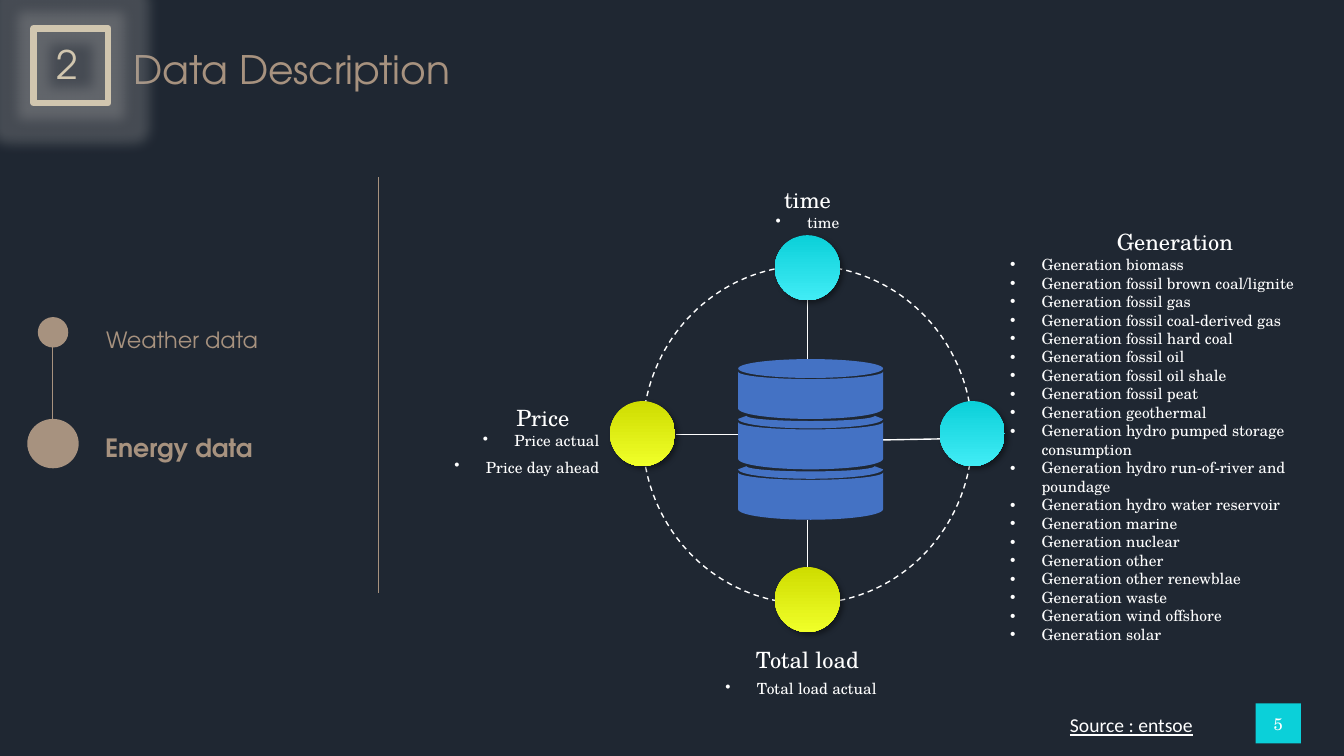
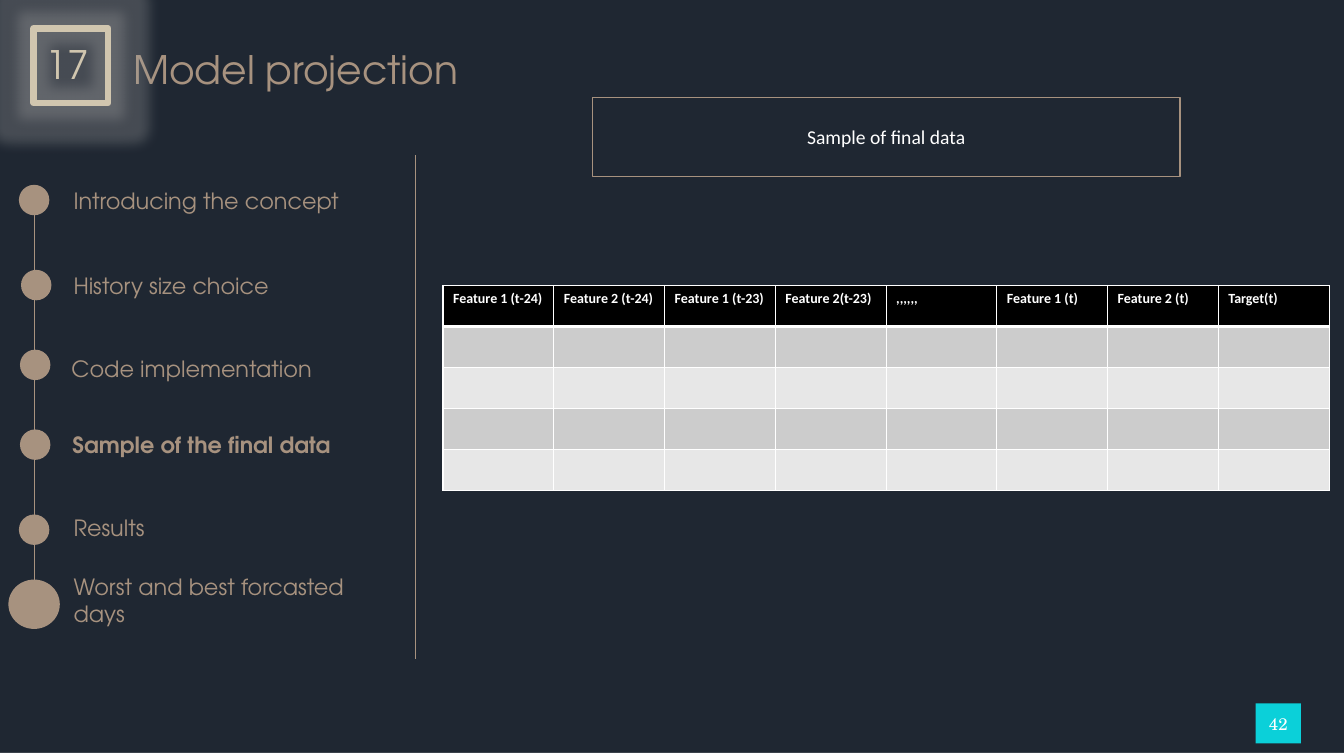
from dataclasses import dataclass
from math import cos, pi, sin
from typing import NamedTuple

from pptx import Presentation
from pptx import util as u
from pptx.dml.color import RGBColor
from pptx.enum import dml, shapes, text
from pptx.oxml import ns, parse_xml

PX = 9525
NAVY, TAN, SAND, WHITE = "1F2732", "A7927F", "D1C6AF", "FFFFFF"
CYAN, CYAN_LIGHT, LIME, LIME_LIGHT = "0BD0D9", "41ECF5", "CEDC00", "F0FF29"
BLUE, BLACK, GREY, GREY_LIGHT = "4472C4", "000000", "CCCCCC", "E7E7E7"
DISPLAY, SERIF, SANS = "TeX Gyre Adventor", "TeX Gyre Schola", "Calibri"
LEFT, CENTER, RIGHT = text.PP_ALIGN.LEFT, text.PP_ALIGN.CENTER, text.PP_ALIGN.RIGHT
TOP, MIDDLE = text.MSO_ANCHOR.TOP, text.MSO_ANCHOR.MIDDLE
RECT, OVAL = shapes.MSO_SHAPE.RECTANGLE, shapes.MSO_SHAPE.OVAL
BULLET_INDENT = 30
SMALL_DOT = (29, 29)
BIG_DOT = (49, 47)
XMLNS = ns.nsdecls("a")
SHADOW = (f'<a:outerShdw {XMLNS} blurRad="50800" dist="38100" dir="2700000">'
          '<a:srgbClr val="000000"><a:alpha val="40000"/></a:srgbClr></a:outerShdw>')
GLOW = (f'<a:glow {XMLNS} rad="228600">'
        '<a:srgbClr val="A5A5A5"><a:alpha val="30000"/></a:srgbClr></a:glow>')


class Box(NamedTuple):
    x: int
    y: int
    w: int
    h: int

    def emu(self) -> list[int]:
        return [px(v) for v in self]


class Style(NamedTuple):
    font: str
    size: int
    color: str
    bold: bool = False
    underline: bool = False


@dataclass
class Step:
    label: str
    x: int
    y: int
    dot: Box
    size: int = 16
    bold: bool = False


@dataclass
class Group:
    """A heading with its bulleted items."""
    heading: str
    heading_box: Box
    items: list[str]
    items_box: Box
    align: text.PP_ALIGN = CENTER


TITLE = Style(DISPLAY, 28, TAN)
NUMBER = Style(DISPLAY, 28, SAND)
HEADING = Style(SERIF, 16, WHITE)
ITEM = Style(SERIF, 11, WHITE)
PAGE = Style(SERIF, 12, WHITE)
CAPTION = Style(SANS, 14, WHITE)
SOURCE = Style(SANS, 14, WHITE, underline=True)
TABLE_HEAD = Style(SANS, 10, WHITE, bold=True)

GENERATION = Group("Generation", Box(962, 217, 314, 26), [
    "Generation " + kind for kind in (
        "biomass", "fossil brown coal/lignite", "fossil gas", "fossil coal-derived gas",
        "fossil hard coal", "fossil oil", "fossil oil shale", "fossil peat", "geothermal",
        "hydro pumped storage consumption", "hydro run-of-river and poundage",
        "hydro water reservoir", "marine", "nuclear", "other", "other renewblae",
        "waste", "wind offshore", "solar")], Box(962, 243, 314, 370), LEFT)
GROUPS = [
    Group("time", Box(612, 177, 314, 26), ["time"], Box(612, 203, 314, 18)),
    Group("Price", Box(360, 385, 314, 26), ["Price actual", "Price day ahead"],
          Box(360, 411, 211, 42), RIGHT),
    Group("Total load", Box(612, 615, 314, 26), ["Total load actual"],
          Box(606, 647, 314, 18)),
]
DATA_STEPS = [
    Step("Weather data", 91, 306, Box(36, 302, *SMALL_DOT)),
    Step("Energy data", 90, 407, Box(26, 399, *BIG_DOT), 18, True),
]
MODEL_STEPS = [
    Step("Introducing the concept", 60, 173, Box(18, 176, *SMALL_DOT)),
    Step("History size choice", 60, 254, Box(20, 257, *SMALL_DOT)),
    Step("Code implementation", 58, 333, Box(19, 333, *SMALL_DOT)),
    Step("Sample of the final data", 59, 406, Box(19, 409, *SMALL_DOT), bold=True),
    Step("Results", 60, 485, Box(18, 490, *SMALL_DOT)),
    Step("Worst and best forcasted days", 60, 541, Box(8, 552, *BIG_DOT)),
]
COLUMNS = ["Feature 1 (t-24)", "Feature 2 (t-24)", "Feature 1 (t-23)", "Feature 2(t-23)",
           ",,,,,,", "Feature 1 (t)", "Feature 2 (t)", "Target(t)"]


def px(value: float) -> int:
    return round(value * PX)


def rgb(color: str) -> RGBColor:
    return RGBColor.from_string(color)


def fill(obj, color: str) -> None:
    obj.fill.solid()
    obj.fill.fore_color.rgb = rgb(color)


def add_run(p, line: str, style: Style) -> None:
    r = p.add_run()
    r.text = line
    font = {"name": style.font, "size": u.Pt(style.size), "bold": style.bold,
            "underline": style.underline}
    for name, value in font.items():
        setattr(r.font, name, value)
    r.font.color.rgb = rgb(style.color)


def write(tf, lines: list[str], style: Style, align=LEFT, anchor=TOP,
          margins=(10, 5), bullets=False, gap: float = 0) -> None:
    side, edge = margins
    frame = {"word_wrap": True, "auto_size": text.MSO_AUTO_SIZE.NONE,
             "vertical_anchor": anchor, "margin_left": px(side), "margin_right": px(side),
             "margin_top": px(edge), "margin_bottom": px(edge)}
    for name, value in frame.items():
        setattr(tf, name, value)
    for i, line in enumerate(lines):
        p = tf.add_paragraph() if i else tf.paragraphs[0]
        if bullets:
            pPr = p._p.get_or_add_pPr()
            pPr.set("marL", str(px(BULLET_INDENT)))
            pPr.set("indent", str(-px(BULLET_INDENT)))
            pPr.append(parse_xml(f'<a:buChar {XMLNS} char="•"/>'))
        p.alignment = align
        p.space_before = u.Pt(gap if i else 0)
        add_run(p, line, style)


def add_text(s, box: Box, lines: list[str], style: Style, **layout) -> None:
    write(s.shapes.add_textbox(*box.emu()).text_frame, lines, style, **layout)


def add_shape(s, kind, box: Box, color: str = "", line: str = "", width: float = 1,
              effect: str = ""):
    sp = s.shapes.add_shape(kind, *box.emu())
    sp.shadow.inherit = False
    if color:
        fill(sp, color)
    else:
        sp.fill.background()
    if line:
        sp.line.color.rgb = rgb(line)
        sp.line.width = u.Pt(width)
    else:
        sp.line.fill.background()
    if effect:
        sp._element.spPr.find(ns.qn("a:effectLst")).append(parse_xml(effect))
    return sp


def add_line(s, x1: int, y1: int, x2: int, y2: int, color: str, width: float) -> None:
    line = s.shapes.add_connector(shapes.MSO_CONNECTOR.STRAIGHT,
                                  px(x1), px(y1), px(x2), px(y2))
    line.line.color.rgb = rgb(color)
    line.line.width = u.Pt(width)
    line._element.spPr.append(parse_xml(f'<a:effectLst {XMLNS}/>'))


def add_page(prs, layout: int, section: str, title: str, page: str):
    s = prs.slides.add_slide(prs.slide_layouts[layout])
    heading = s.shapes.title
    heading.left, heading.top, heading.width, heading.height = Box(117, 38, 700, 55).emu()
    write(heading.text_frame, [title], TITLE)
    add_shape(s, RECT, Box(32, 27, 71, 71), line=SAND, width=4.75, effect=GLOW)
    add_text(s, Box(32, 33, 64, 55), [section], NUMBER, align=CENTER, margins=(0, 5))
    badge = add_shape(s, RECT, Box(1196, 670, 43, 38), CYAN)
    write(badge.text_frame, [page], PAGE, align=CENTER, anchor=MIDDLE, margins=(0, 5))
    return s


def add_timeline(s, steps: list[Step], x: int, top: int, bottom: int) -> None:
    add_line(s, x, top, x, bottom, TAN, 0.5)
    for step in steps:
        add_shape(s, OVAL, step.dot, TAN)
        add_text(s, Box(step.x, step.y, 312, 36), [step.label],
                 Style(DISPLAY, step.size, TAN, step.bold))


def add_group(s, group: Group, body=None) -> None:
    """Draw the heading and items; the items go in body when one is given."""
    add_text(s, group.heading_box, [group.heading], HEADING, align=CENTER, margins=(0, 0))
    sp = body or s.shapes.add_textbox(0, 0, 0, 0)
    sp.left, sp.top, sp.width, sp.height = group.items_box.emu()
    write(sp.text_frame, group.items, ITEM, align=group.align, margins=(0, 0),
          bullets=True, gap=0 if body else 5.4)


def add_node(s, cx: int, cy: int, top: str, bottom: str) -> None:
    sp = add_shape(s, OVAL, Box(cx - 31, cy - 31, 62, 62), top, effect=SHADOW)
    sp.fill.gradient()
    sp.fill.gradient_angle = 270
    for stop, color in zip(sp.fill.gradient_stops, (top, bottom)):
        stop.color.rgb = rgb(color)


def lower_arc(cx: int, cy: int, rx: int, ry: int) -> list[tuple[int, int]]:
    """Points of the lower half of an ellipse, from left to right."""
    steps = 32
    return [(px(cx - rx * cos(pi * i / steps)), px(cy + ry * sin(pi * i / steps)))
            for i in range(steps + 1)]


def add_outline(s, upper: list, lower: list) -> None:
    points = upper + lower[::-1]
    builder = s.shapes.build_freeform(*points[0])
    builder.add_line_segments(points[1:], close=True)
    sp = builder.convert_to_shape()
    sp.shadow.inherit = False
    fill(sp, BLUE)
    sp.line.fill.background()


def add_database(s, cx: int, top: int) -> None:
    radius, pitch = 69, 48
    add_shape(s, OVAL, Box(cx - radius, top, 2 * radius, 18), BLUE)
    for i in range(3):
        y = top + 12 + i * pitch
        add_outline(s, lower_arc(cx, y, radius, 7), lower_arc(cx, y + 35, radius, 10))
        if i:
            add_outline(s, lower_arc(cx, y - 6, 61, 5), lower_arc(cx, y - 3, radius, 9))


def add_table(s, box: Box, rows: int) -> None:
    table = s.shapes.add_table(rows, len(COLUMNS), *box.emu()).table
    for row in range(rows):
        for col, label in enumerate(COLUMNS):
            cell = table.cell(row, col)
            tcPr = cell._tc.get_or_add_tcPr()
            for side in ("L", "R", "T", "B"):
                thick = (row, side) in ((0, "B"), (1, "T"))
                tcPr.append(parse_xml(
                    f'<a:ln{side} {XMLNS} w="{38100 if thick else 12700}">'
                    f'<a:solidFill><a:srgbClr val="{WHITE}"/></a:solidFill></a:ln{side}>'))
            fill(cell, (GREY if row % 2 else GREY_LIGHT) if row else BLACK)
            if not row:
                add_run(cell.text_frame.paragraphs[0], label, TABLE_HEAD)


def build_data_slide(prs) -> None:
    s = add_page(prs, 1, "2", "Data Description", "5")
    add_line(s, 360, 169, 360, 565, TAN, 0.5)
    add_timeline(s, DATA_STEPS, 50, 315, 434)
    ring = add_shape(s, OVAL, Box(612, 253, 314, 322), line=WHITE)
    ring.line.dash_style = dml.MSO_LINE.DASH
    for spoke in ((769, 286, 769, 342), (769, 495, 769, 540),
                  (896, 418, 841, 419), (703, 414, 644, 414)):
        add_line(s, *spoke, WHITE, 1)
    for dx, dy, *colors in ((0, -1, CYAN, CYAN_LIGHT), (1, 0, CYAN, CYAN_LIGHT),
                            (0, 1, LIME, LIME_LIGHT), (-1, 0, LIME, LIME_LIGHT)):
        add_node(s, 769 + 157 * dx, 413 + 158 * dy, *colors)
    add_database(s, 772, 342)
    for group in GROUPS:
        add_group(s, group)
    add_group(s, GENERATION, s.placeholders[1])
    add_text(s, Box(1009, 674, 180, 33), ["Source : entsoe"], SOURCE)


def build_model_slide(prs) -> None:
    s = add_page(prs, 5, "17", "Model projection", "42")
    add_shape(s, RECT, Box(0, 717, 1280, 3), WHITE)
    add_line(s, 396, 148, 396, 628, TAN, 0.5)
    add_timeline(s, MODEL_STEPS, 33, 204, 562)
    caption = add_shape(s, RECT, Box(564, 93, 560, 75), line=TAN)
    write(caption.text_frame, ["Sample of final data"], CAPTION, align=CENTER, anchor=MIDDLE)
    add_table(s, Box(422, 272, 844, 195), 5)


def main() -> None:
    prs = Presentation()
    prs.slide_width, prs.slide_height = px(1280), px(720)
    fill(prs.slide_master.background, NAVY)
    build_data_slide(prs)
    build_model_slide(prs)
    prs.save("out.pptx")


if __name__ == "__main__":
    main()
